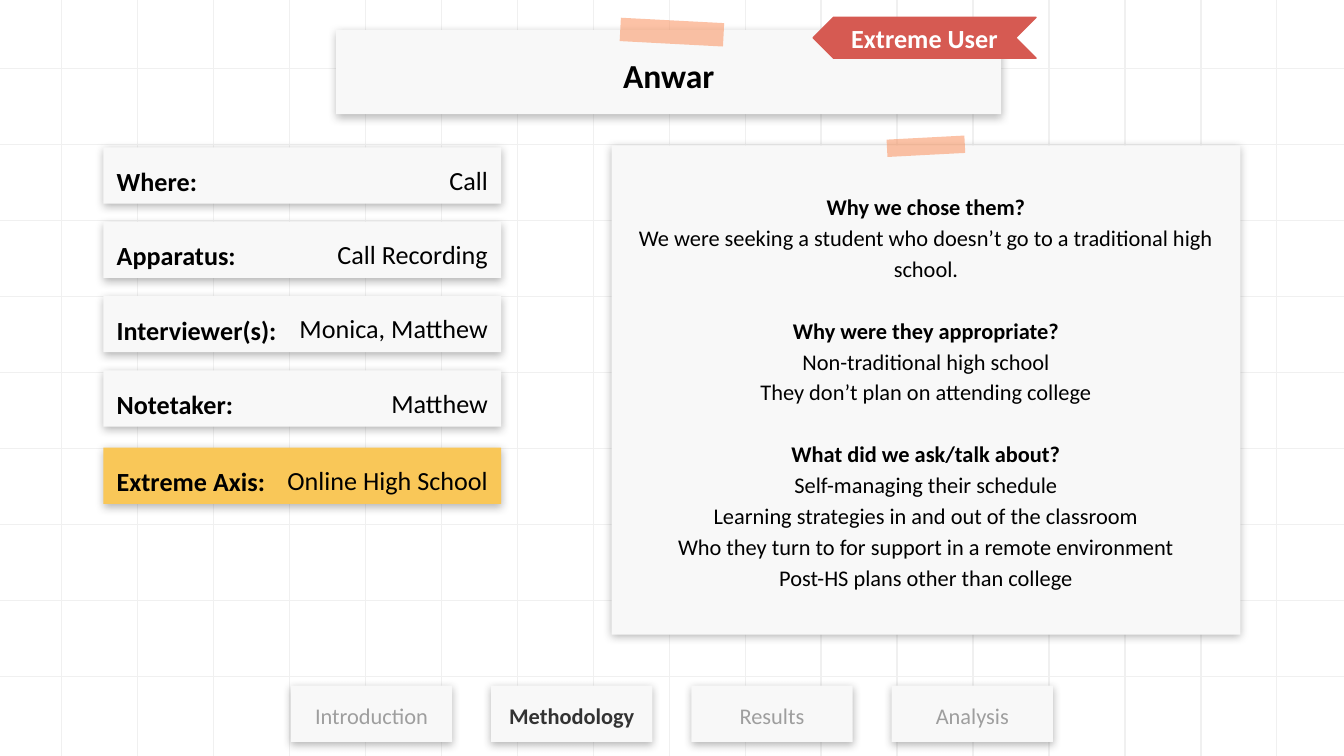
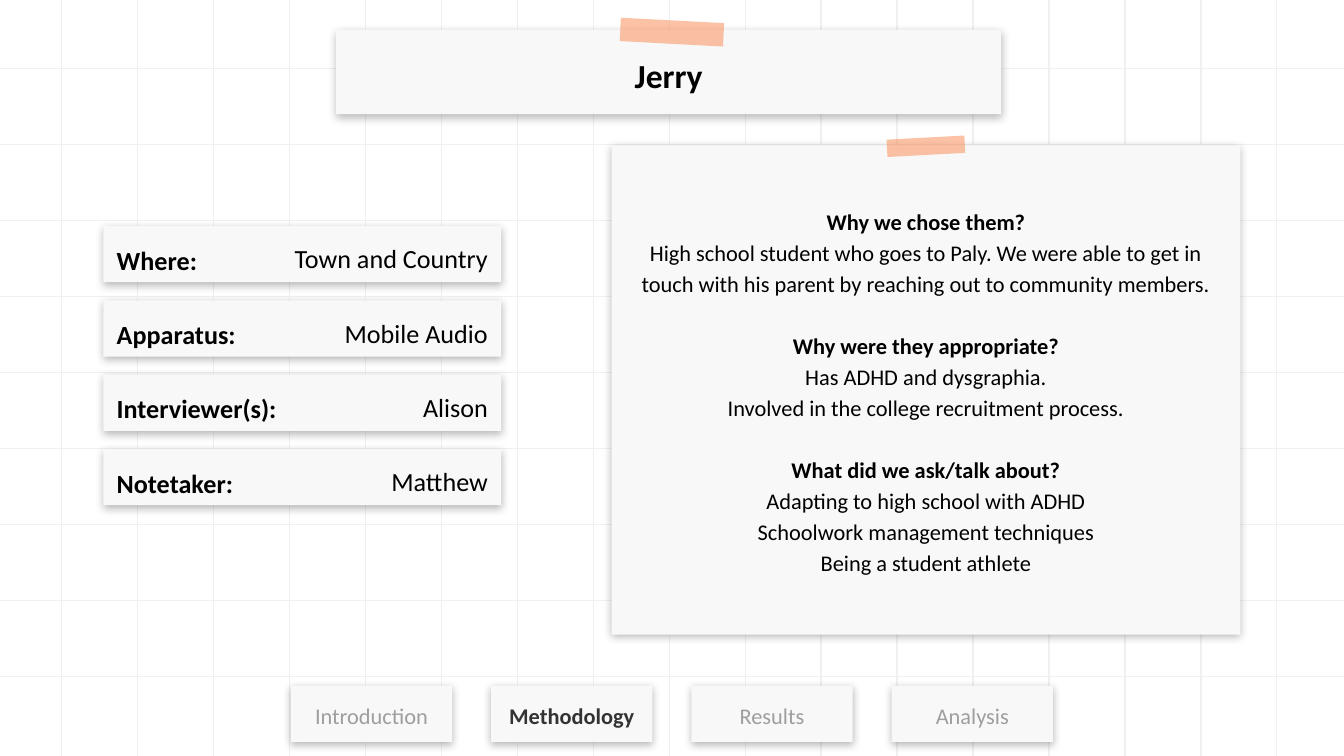
from dataclasses import dataclass
from typing import Optional

from lxml.etree import SubElement
from pptx import Presentation
from pptx.dml.color import RGBColor as Rgb
from pptx.enum.shapes import MSO_CONNECTOR as Conn, MSO_SHAPE as Kind
from pptx.enum.text import MSO_ANCHOR as Anchor, MSO_AUTO_SIZE as Auto, PP_ALIGN as Align
from pptx.oxml.ns import qn
from pptx.util import Emu, Inches, Pt


@dataclass(frozen=True)
class Theme:
    """Colours, font and type sizes in points."""

    font: str = "Calibri"
    ink: str = "000000"
    paper: str = "F8F8F8"
    grid: str = "F0F0F0"
    dark: str = "333333"
    mute: str = "9E9E9E"
    tape: str = "FA9563"
    gold: str = "F9C758"
    red: str = "D65A52"
    white: str = "FFFFFF"
    title: int = 18
    label: int = 14
    body: int = 12
    lead: float = 1.15
    gap: float = 16.6


@dataclass(frozen=True)
class Box:
    """A place given in percent of the slide's width and height."""

    x: float
    y: float
    w: float
    h: float


@dataclass(frozen=True)
class Type:
    """The look of a piece of text."""

    size: int
    tint: str = "000000"
    bold: bool = False
    align: Align = Align.CENTER
    anchor: Anchor = Anchor.MIDDLE
    lead: float = 1.15


@dataclass(frozen=True)
class Fact:
    """A labelled row with the width of its value and any gap above."""

    label: str
    value: str
    wide: float = 16.6
    fill: str = "F8F8F8"
    drop: float = 0


@dataclass(frozen=True)
class Topic:
    """A question with its answers."""

    head: str
    lines: tuple[str, ...]


@dataclass(frozen=True)
class Person:
    """The content of one slide."""

    name: str
    top: float
    facts: tuple[Fact, ...]
    topics: tuple[Topic, ...]
    badge: Optional[str] = None


THEME = Theme()
WIDE, HIGH = Inches(10), Inches(5.625)
TABS = ("Introduction", "Methodology", "Results", "Analysis")
HERE = "Methodology"
WHY, FIT, ASK = (
    "Why we chose them?",
    "Why were they appropriate?",
    "What did we ask/talk about?",
)
ROW = Box(7.7, 0, 29.6, 7.45)
STEP = 9.83

TITLE = Type(THEME.title, bold=True)
LABEL = Type(THEME.label, bold=True, align=Align.LEFT, anchor=Anchor.TOP)
VALUE = Type(THEME.label, align=Align.RIGHT, anchor=Anchor.TOP)
BODY = Type(THEME.body)
BADGE = Type(THEME.label, THEME.white, True, lead=1)
TAB = Type(THEME.body, THEME.mute)
TAB_ON = Type(THEME.body, THEME.dark, True)

PEOPLE = (
    Person(
        "Anwar",
        19.5,
        (
            Fact("Where:", "Call"),
            Fact("Apparatus:", "Call Recording"),
            Fact("Interviewer(s):", "Monica, Matthew"),
            Fact("Notetaker:", "Matthew"),
            Fact("Extreme Axis:", "Online High School", ROW.w, THEME.gold, 0.4),
        ),
        (
            Topic(WHY, ("We were seeking a student who doesn’t go to a traditional high school.",)),
            Topic(FIT, ("Non-traditional high school", "They don’t plan on attending college")),
            Topic(ASK, (
                "Self-managing their schedule",
                "Learning strategies in and out of the classroom",
                "Who they turn to for support in a remote environment",
                "Post-HS plans other than college",
            )),
        ),
        "Extreme User",
    ),
    Person(
        "Jerry",
        29.9,
        (
            Fact("Where:", "Town and Country", 18.8),
            Fact("Apparatus:", "Mobile Audio"),
            Fact("Interviewer(s):", "Alison"),
            Fact("Notetaker:", "Matthew"),
        ),
        (
            Topic(WHY, (
                "High school student who goes to Paly. We were able to get in touch "
                "with his parent by reaching out to community members.",
            )),
            Topic(FIT, ("Has ADHD and dysgraphia.", "Involved in the college recruitment process.")),
            Topic(ASK, (
                "Adapting to high school with ADHD",
                "Schoolwork management techniques",
                "Being a student athlete",
            )),
        ),
    ),
)


def across(part: float) -> Emu:
    """Turn a percent of the width into a length."""
    return Emu(round(WIDE * part / 100))


def down(part: float) -> Emu:
    """Turn a percent of the height into a length."""
    return Emu(round(HIGH * part / 100))


def place(box: Box) -> tuple[Emu, Emu, Emu, Emu]:
    """Give the left, top, width and height of a box."""
    return across(box.x), down(box.y), across(box.w), down(box.h)


def write(shape, text: str, look: Type) -> None:
    """Set and format the text of a shape."""
    frame = shape.text_frame
    frame.text = text
    frame.word_wrap = True
    frame.vertical_anchor = look.anchor
    frame.margin_left = frame.margin_right = Inches(0.1)
    frame.margin_top = frame.margin_bottom = Inches(0.1)
    for para in frame.paragraphs:
        para.alignment = look.align
        para.line_spacing = look.lead
        for run in para.runs:
            run.font.name = THEME.font
            run.font.size = Pt(look.size)
            run.font.bold = look.bold
            run.font.color.rgb = Rgb.from_string(look.tint)


def block(slide, box: Box, fill: str, kind: Kind = Kind.RECTANGLE):
    """Draw a flat shape with no outline."""
    shape = slide.shapes.add_shape(kind, *place(box))
    shape.shadow.inherit = False
    shape.fill.solid()
    shape.fill.fore_color.rgb = Rgb.from_string(fill)
    shape.line.fill.background()
    return shape


def fade(tint, part: int) -> None:
    """Set the opacity of a colour element in percent."""
    SubElement(tint, qn("a:alpha")).set("val", str(part * 1000))


def card(slide, box: Box, text: str, look: Type, fill: str = THEME.paper):
    """Draw a paper card with a soft shadow."""
    shape = block(slide, box, fill)
    glow = SubElement(shape._element.spPr.find(qn("a:effectLst")), qn("a:outerShdw"))
    for key, val in (("blurRad", Pt(4.5)), ("dist", Pt(1.5)), ("dir", 90 * 60000)):
        glow.set(key, str(int(val)))
    glow.set("algn", "bl")
    glow.set("rotWithShape", "0")
    tint = SubElement(glow, qn("a:srgbClr"))
    tint.set("val", THEME.dark)
    fade(tint, 34)
    write(shape, text, look)
    return shape


def tape(slide, box: Box, turn: float) -> None:
    """Stick a strip of clear tape."""
    shape = block(slide, box, THEME.tape)
    shape.rotation = turn
    fade(next(shape._element.spPr.iter(qn("a:srgbClr"))), 57)


def grid(slide) -> None:
    """Rule the page in squares."""
    group = slide.shapes.add_group_shape()
    cols = [(4.6 + 5.65 * i, -0.2, 4.6 + 5.65 * i, 101.1) for i in range(17)]
    rows = [(100.1, 9.1 + 10.05 * i, -0.1, 9.1 + 10.05 * i) for i in range(9)]
    for x1, y1, x2, y2 in cols + rows:
        rule = group.shapes.add_connector(
            Conn.STRAIGHT, across(x1), down(y1), across(x2), down(y2)
        )
        rule.line.color.rgb = Rgb.from_string(THEME.grid)
        rule.line.width = Pt(0.75)
        SubElement(rule._element.spPr, qn("a:effectLst"))


def notes(slide, topics: tuple[Topic, ...]) -> None:
    """Draw the large card of questions and answers."""
    lines = [line for topic in topics for line in (topic.head, *topic.lines)]
    shape = card(slide, Box(45.5, 19.25, 46.8, 64.7), "\n".join(lines), BODY)
    heads = {topic.head for topic in topics}
    for i, para in enumerate(shape.text_frame.paragraphs):
        if para.text in heads:
            para.runs[0].font.bold = True
            if i:
                para.space_before = Pt(THEME.gap)


def facts(slide, person: Person) -> None:
    """Stack the labelled rows."""
    for i, fact in enumerate(person.facts):
        top = person.top + STEP * i + fact.drop
        card(slide, Box(ROW.x, top, ROW.w, ROW.h), fact.label, LABEL, fact.fill)
        left = ROW.x + ROW.w - fact.wide
        text = slide.shapes.add_textbox(*place(Box(left, top - 0.2, fact.wide, 7.8)))
        write(text, fact.value, VALUE)
        text.text_frame.auto_size = Auto.SHAPE_TO_FIT_TEXT


def tabs(slide) -> None:
    """Draw the row of section tabs."""
    for i, name in enumerate(TABS):
        look = TAB_ON if name == HERE else TAB
        card(slide, Box(21.65 + 14.9 * i, 90.7, 12, 7.45), name, look)


def badge(slide, text: str) -> None:
    """Draw the ribbon that points left."""
    shape = block(slide, Box(60.5, 2.3, 16.6, 5.4), THEME.red, Kind.CHEVRON)
    shape.line.color.rgb = Rgb.from_string(THEME.red)
    shape.line.width = Pt(0.75)
    shape._element.spPr.find(qn("a:xfrm")).set("flipH", "1")
    write(shape, text, BADGE)


def build(deck, person: Person) -> None:
    """Add the slide of one person."""
    slide = deck.slides.add_slide(deck.slide_layouts[6])
    grid(slide)
    card(slide, Box(25, 4, 49.5, 11.1), person.name, TITLE)
    notes(slide, person.topics)
    tape(slide, Box(46.15, 2.7, 7.7, 3.1), 3)
    tape(slide, Box(66, 18.2, 5.8, 2.3), 357)
    tabs(slide)
    facts(slide, person)
    if person.badge:
        badge(slide, person.badge)


def main() -> None:
    """Build and save the deck."""
    deck = Presentation()
    deck.slide_width, deck.slide_height = WIDE, HIGH
    for person in PEOPLE:
        build(deck, person)
    deck.save("out.pptx")


if __name__ == "__main__":
    main()
